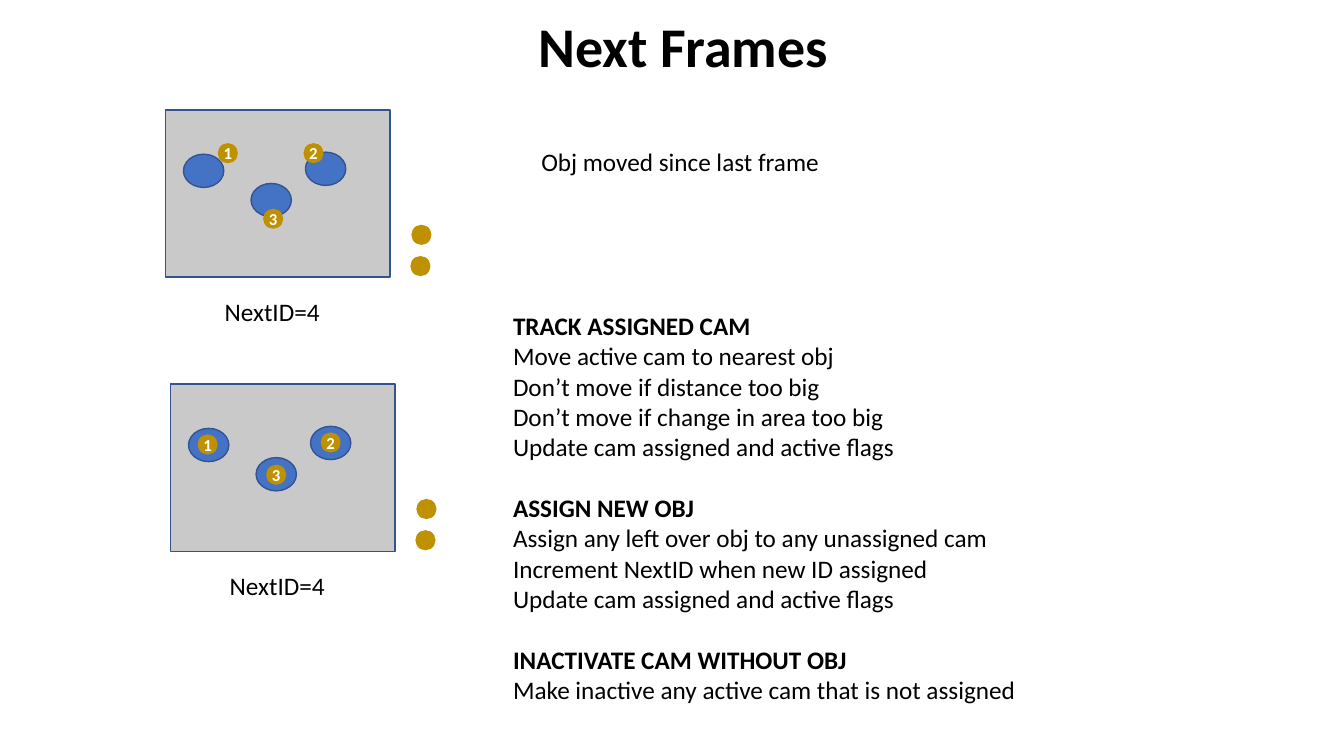
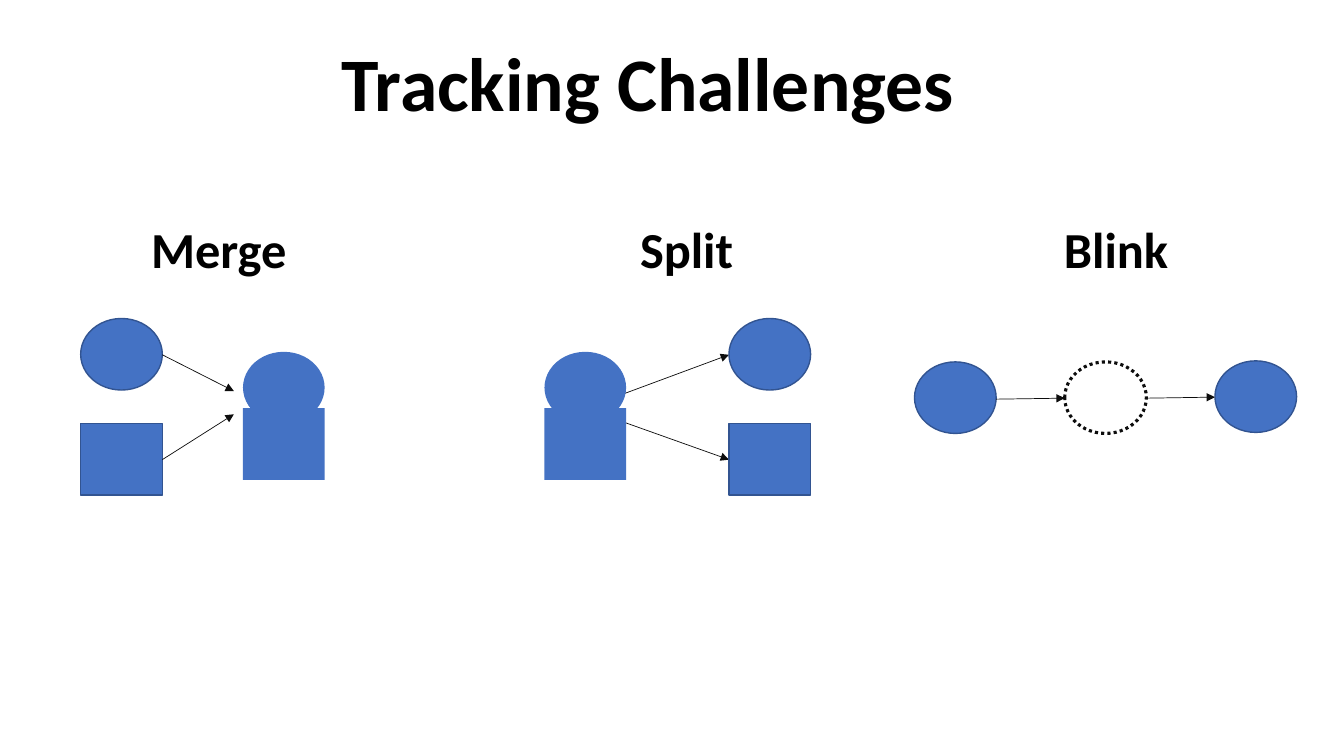
from dataclasses import dataclass
from typing import NamedTuple, Optional

from lxml import etree
from pptx import Presentation
from pptx.dml.color import RGBColor
from pptx.enum import dml, shapes, text
from pptx.oxml import ns
from pptx.util import Inches, Pt


@dataclass(frozen=True)
class Theme:
    font: str = "Calibri"
    ink: str = "000000"
    paper: str = "FFFFFF"
    arrow: str = "0D0D0D"
    blue: str = "4472C4"
    edge: str = "325491"
    frame: str = "C9C9C9"
    gold: str = "BF9000"
    body: int = 18
    badge: int = 12
    heading: int = 36
    edge_width: float = 1
    arrow_width: float = 0.5
    dotted_width: float = 2.25


THEME = Theme()
OVAL = shapes.MSO_SHAPE.OVAL
RECTANGLE = shapes.MSO_SHAPE.RECTANGLE
LEFT = text.PP_ALIGN.LEFT
CENTER = text.PP_ALIGN.CENTER


class Point(NamedTuple):
    x: float
    y: float

    def shift(self, dx: float, dy: float) -> "Point":
        return Point(self.x + dx, self.y + dy)


class Size(NamedTuple):
    width: float
    height: float


class Arrow(NamedTuple):
    start: Point
    end: Point


class Blob(NamedTuple):
    kind: int
    at: Point
    edge: Optional[str] = THEME.edge


@dataclass(frozen=True)
class Frame:
    at: Point
    badges: tuple[Point, ...]


class Section(NamedTuple):
    heading: str
    steps: tuple[str, ...]


def style(paragraph, size: float, bold: bool, color: str, align=LEFT) -> None:
    paragraph.alignment = align
    paragraph.font.name = THEME.font
    paragraph.font.size = Pt(size)
    paragraph.font.bold = bold
    paragraph.font.color.rgb = RGBColor.from_string(color)


def add_text(slide, at: Point, size: Size, lines: list[str], points: float,
             bold: bool = False, align=LEFT):
    box = slide.shapes.add_textbox(*map(Inches, at + size)).text_frame
    box.word_wrap = False
    box.auto_size = text.MSO_AUTO_SIZE.SHAPE_TO_FIT_TEXT
    box.text = "\n".join(lines)
    for paragraph in box.paragraphs:
        style(paragraph, points, bold, THEME.ink, align)
    return box


def add_shape(slide, kind: int, at: Point, size: Size, fill: Optional[str],
              edge: Optional[str] = None, width: float = THEME.edge_width):
    shape = slide.shapes.add_shape(kind, *map(Inches, at + size))
    shape.shadow.inherit = False
    if fill:
        shape.fill.solid()
        shape.fill.fore_color.rgb = RGBColor.from_string(fill)
    else:
        shape.fill.background()
    if edge:
        shape.line.color.rgb = RGBColor.from_string(edge)
        shape.line.width = Pt(width)
    else:
        shape.line.fill.background()
    return shape


def add_arrow(slide, arrow: Arrow) -> None:
    connector = slide.shapes.add_connector(
        shapes.MSO_CONNECTOR.STRAIGHT, *map(Inches, arrow.start + arrow.end))
    connector.line.color.rgb = RGBColor.from_string(THEME.arrow)
    connector.line.width = Pt(THEME.arrow_width)
    outline = connector.line._get_or_add_ln()
    etree.SubElement(outline, ns.qn("a:tailEnd"), type="triangle")
    etree.SubElement(connector._element.spPr, ns.qn("a:effectLst"))


def add_title(slide, at: Point, size: Size, title: str, points: float) -> None:
    add_text(slide, at, size, [title], points, bold=True, align=CENTER)


FRAME = Size(2.23, 1.66)
TRACKED = Size(0.4, 0.33)
BADGE = Size(0.2, 0.2)
TRACKED_OFFSETS = (Point(0.18, 0.44), Point(1.39, 0.42), Point(0.85, 0.73))
SPARE_OFFSETS = (Point(2.44, 1.14), Point(2.43, 1.45))
FRAMES = (
    Frame(Point(1.64, 1.09),
          (Point(0.52, 0.33), Point(1.37, 0.33), Point(0.97, 0.98))),
    Frame(Point(1.69, 3.81),
          (Point(0.27, 0.5), Point(1.49, 0.48), Point(0.95, 0.8))),
)
SECTIONS = (
    Section("TRACK ASSIGNED CAM", (
        "Move active cam to nearest obj",
        "Don’t move if distance too big",
        "Don’t move if change in area too big",
        "Update cam assigned and active flags")),
    Section("ASSIGN NEW OBJ", (
        "Assign any left over obj to any unassigned cam",
        "Increment NextID when new ID assigned",
        "Update cam assigned and active flags")),
    Section("INACTIVATE CAM WITHOUT OBJ", (
        "Make inactive any active cam that is not assigned",)),
)


def draw_frame(slide, frame: Frame) -> None:
    add_shape(slide, RECTANGLE, frame.at, FRAME, THEME.frame, THEME.edge)
    for offset in TRACKED_OFFSETS:
        add_shape(slide, OVAL, frame.at.shift(*offset), TRACKED,
                  THEME.blue, THEME.edge)
    add_text(slide, frame.at.shift(0.49, 1.8), Size(1.15, 0.4),
             ["NextID=4"], THEME.body)
    for number, offset in enumerate(frame.badges, start=1):
        label = add_shape(slide, OVAL, frame.at.shift(*offset), BADGE,
                          THEME.gold).text_frame
        label.margin_left = label.margin_right = 0
        label.margin_top = label.margin_bottom = 0
        label.word_wrap = False
        label.vertical_anchor = text.MSO_ANCHOR.MIDDLE
        label.text = str(number)
        style(label.paragraphs[0], THEME.badge, True, THEME.paper, CENTER)
    for offset in SPARE_OFFSETS:
        add_shape(slide, OVAL, frame.at.shift(*offset), BADGE, THEME.gold)


def build_next_frames(slide) -> None:
    add_title(slide, Point(5.22, 0.07), Size(3.11, 0.77), "Next Frames", 40)
    for frame in FRAMES:
        draw_frame(slide, frame)
    add_text(slide, Point(5.27, 1.4), Size(2.99, 0.4),
             ["Obj moved since last frame"], THEME.body)
    lines = [line for section in SECTIONS
             for line in (section.heading, *section.steps)]
    procedure = add_text(slide, Point(4.99, 3.03), Size(5.24, 4.04),
                         lines, THEME.body)
    headings = {section.heading for section in SECTIONS}
    for index, paragraph in enumerate(procedure.paragraphs):
        if paragraph.text in headings:
            paragraph.font.bold = True
            paragraph.space_before = Pt(22 if index else 0)


BLOB = Size(0.81, 0.71)
HEADING = Size(2, 0.71)
HEADING_CENTERS = {"Merge": 2.17, "Split": 6.81, "Blink": 11.07}
SPLIT_ORIGIN = Point(5.8, 4.05)
SPLIT_ARROWS = (
    Arrow(SPLIT_ORIGIN, Point(7.23, 3.52)),
    Arrow(SPLIT_ORIGIN, Point(7.23, 4.56)),
)
OTHER_ARROWS = (
    Arrow(Point(1.61, 3.52), Point(2.32, 3.88)),
    Arrow(Point(1.61, 4.56), Point(2.32, 4.11)),
    Arrow(Point(9.88, 3.96), Point(10.56, 3.95)),
    Arrow(Point(11.37, 3.95), Point(12.05, 3.94)),
)
SEPARATE = [Blob(kind, Point(x, y)) for x in (0.8, 7.23)
            for kind, y in ((OVAL, 3.16), (RECTANGLE, 4.2))]
JOINED = [Blob(kind, Point(x, y), None) for x in (2.41, 5.4)
          for kind, y in ((OVAL, 3.49), (RECTANGLE, 4.05))]
VISIBLE = [Blob(OVAL, Point(9.07, 3.59)), Blob(OVAL, Point(12.05, 3.58))]


def build_tracking_challenges(slide) -> None:
    add_title(slide, Point(3.15, 0.31), Size(6.55, 1.01),
              "Tracking Challenges", 54)
    for challenge, center in HEADING_CENTERS.items():
        add_title(slide, Point(center - HEADING.width / 2, 2.11), HEADING,
                  challenge, THEME.heading)
    for arrow in SPLIT_ARROWS:
        add_arrow(slide, arrow)
    for blob in SEPARATE + JOINED + VISIBLE:
        add_shape(slide, blob.kind, blob.at, BLOB, THEME.blue, blob.edge)
    vanished = add_shape(slide, OVAL, Point(10.56, 3.59), BLOB, None,
                         THEME.arrow, THEME.dotted_width)
    vanished.line.dash_style = dml.MSO_LINE.ROUND_DOT
    for arrow in OTHER_ARROWS:
        add_arrow(slide, arrow)


def main() -> None:
    deck = Presentation()
    deck.slide_width, deck.slide_height = Inches(13.33), Inches(7.5)
    blank = deck.slide_layouts[6]
    for build in (build_next_frames, build_tracking_challenges):
        build(deck.slides.add_slide(blank))
    deck.save("out.pptx")


main()
